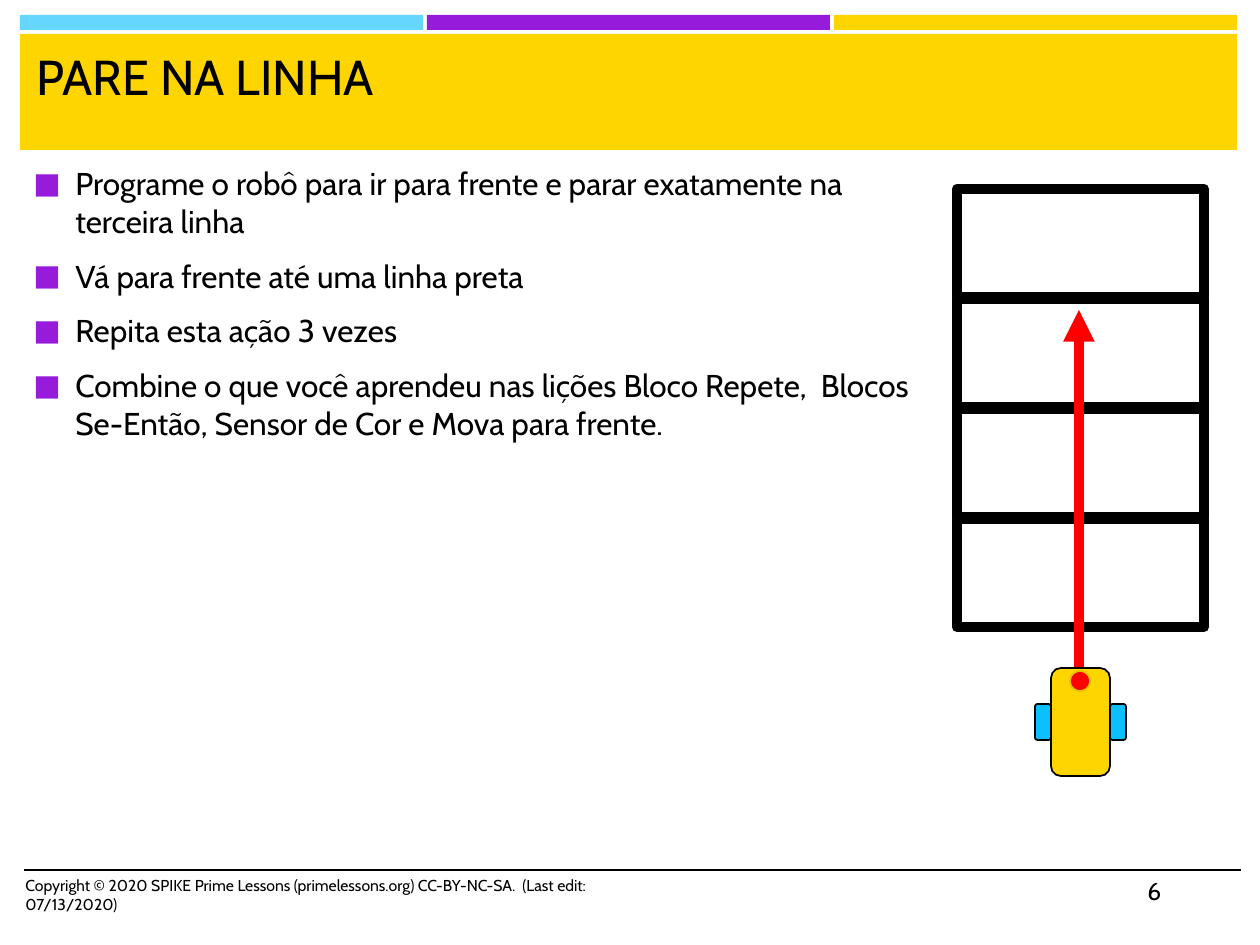
import pptx
import pptx.dml.color
import pptx.enum.shapes
import pptx.oxml
import pptx.oxml.ns
import pptx.util

PX = 914400 / 126
SHAPE = pptx.enum.shapes.MSO_SHAPE
YELLOW, BLACK, RED = "FFD500", "000000", "FF0000"
PURPLE, WHEEL = "961BDB", "0CC0FF"
BULLETS = [
    "Programe o robô para ir para frente e parar exatamente na terceira linha",
    "Vá para frente até uma linha preta",
    "Repita esta ação 3 vezes",
    "Combine o que você aprendeu nas lições Bloco Repete,  Blocos Se-Então, "
    "Sensor de Cor e Mova para frente.",
]


def emu(*lengths):
    return [pptx.util.Emu(round(n * PX)) for n in lengths]


def rgb(code):
    return pptx.dml.color.RGBColor.from_string(code)


def add_xml(parent, xml):
    """Append one DrawingML element, given with the a: prefix."""
    head, sep, rest = xml.partition("/>")
    ns = pptx.oxml.ns.nsdecls("a")
    parent.append(pptx.oxml.parse_xml(f"{head} {ns}{sep}{rest}"))


def add_box(shapes, kind, box, fill=None, line=None, width=1):
    sp = shapes.add_shape(kind, *emu(*box))
    sp.shadow.inherit = False
    for part, color in ((sp.fill, fill), (sp.line.fill, line)):
        if color:
            part.solid()
            part.fore_color.rgb = rgb(color)
        else:
            part.background()
    if line:
        sp.line.width = pptx.util.Pt(width)
    return sp


def add_line(shapes, start, end, color, width):
    line = shapes.add_connector(
        pptx.enum.shapes.MSO_CONNECTOR.STRAIGHT, *emu(*start, *end))
    line.line.color.rgb = rgb(color)
    line.line.width = pptx.util.Pt(width)
    add_xml(line._element.spPr, "<a:effectLst/>")
    return line


def add_text(shapes, box, paragraphs, size, bullet=False):
    tf = shapes.add_textbox(*emu(*box)).text_frame
    tf.word_wrap = True
    for i, text in enumerate(paragraphs):
        p = tf.paragraphs[0] if i == 0 else tf.add_paragraph()
        if bullet:
            format_bullet(p, size, first=i == 0)
        r = p.add_run()
        r.text = text
        values = {"name": "Cabin", "size": pptx.util.Pt(size)}
        for name, value in values.items():
            setattr(r.font, name, value)
        r.font.color.rgb = rgb(BLACK)


def format_bullet(p, size, first):
    p.space_after = pptx.util.Pt(6)
    if not first:
        p.space_before = pptx.util.Pt(0.2 * size)
    pPr = p._p.get_or_add_pPr()
    indent = emu(42)[0]
    pPr.set("marL", str(indent))
    pPr.set("indent", str(-indent))
    add_xml(pPr, "<a:buClr/>")
    add_xml(pPr[-1], f'<a:srgbClr val="{PURPLE}"/>')
    add_xml(pPr, '<a:buSzPct val="92000"/>')
    add_xml(pPr, '<a:buFont typeface="Cabin"/>')
    add_xml(pPr, '<a:buChar char="■"/>')


def add_header(shapes, x, y, w, h):
    gap, strip = 4, 15
    bar = (w - 2 * gap) // 3
    for i, color in enumerate(("65D7FF", PURPLE, YELLOW)):
        add_box(shapes, SHAPE.RECTANGLE,
                (x + i * (bar + gap), y, bar, strip), color)
    top = y + strip + gap
    add_box(shapes, SHAPE.RECTANGLE, (x, top, w, y + h - top), YELLOW)
    add_text(shapes, (x + 4, top + 6, w - 11, 103), ["PARE NA LINHA"], 28)


def add_track(shapes, x, y, w, h):
    """Stack four outlined cells that share the height."""
    count, gap = 4, 2
    cell = (h - (count - 1) * gap) // count
    for i in range(count):
        add_box(shapes, SHAPE.RECTANGLE,
                (x, y + i * (cell + gap), w, cell), line=BLACK, width=6)


def add_arrow(shapes, x, bottom, top):
    arrow = add_line(shapes, (x, bottom), (x, top), RED, 6)
    add_xml(arrow.line._get_or_add_ln(), '<a:tailEnd type="triangle"/>')


def add_robot(shapes, x, y, w, h):
    parts = shapes.add_group_shape().shapes
    wheel, sensor = 16, 20
    rounded = SHAPE.ROUNDED_RECTANGLE
    add_box(parts, rounded, (x + wheel, y, w - 2 * wheel, h), YELLOW, BLACK)
    for left in (x, x + w - wheel):
        add_box(parts, rounded, (left, y + 36, wheel, 36), WHEEL, BLACK)
    add_box(parts, SHAPE.OVAL,
            (x + (w - sensor) // 2, y + 3, sensor, sensor), RED, "E6C000")


def add_footer(shapes, x, y, w, h):
    add_line(shapes, (x, y), (x + w, y), BLACK, 1)
    notice = ("Copyright © 2020 SPIKE Prime Lessons (primelessons.org) "
              "CC-BY-NC-SA.  (Last edit: 07/13/2020)")
    add_text(shapes, (x - 11, y, 672, h), [notice], 9)
    add_text(shapes, (x + w - 106, y, 106, h), ["6"], 14)


def main():
    prs = pptx.Presentation()
    prs.slide_width, prs.slide_height = emu(1260, 945)
    s = prs.slides.add_slide(prs.slide_layouts[6])
    add_header(s.shapes, 20, 15, 1217, 135)
    add_text(s.shapes, (21, 158, 905, 700), BULLETS, 18, bullet=True)
    add_track(s.shapes, 957, 189, 247, 438)
    add_arrow(s.shapes, 1079, 728, 310)
    add_robot(s.shapes, 1035, 668, 91, 108)
    add_footer(s.shapes, 24, 870, 1217, 50)
    prs.save("out.pptx")


if __name__ == "__main__":
    main()
